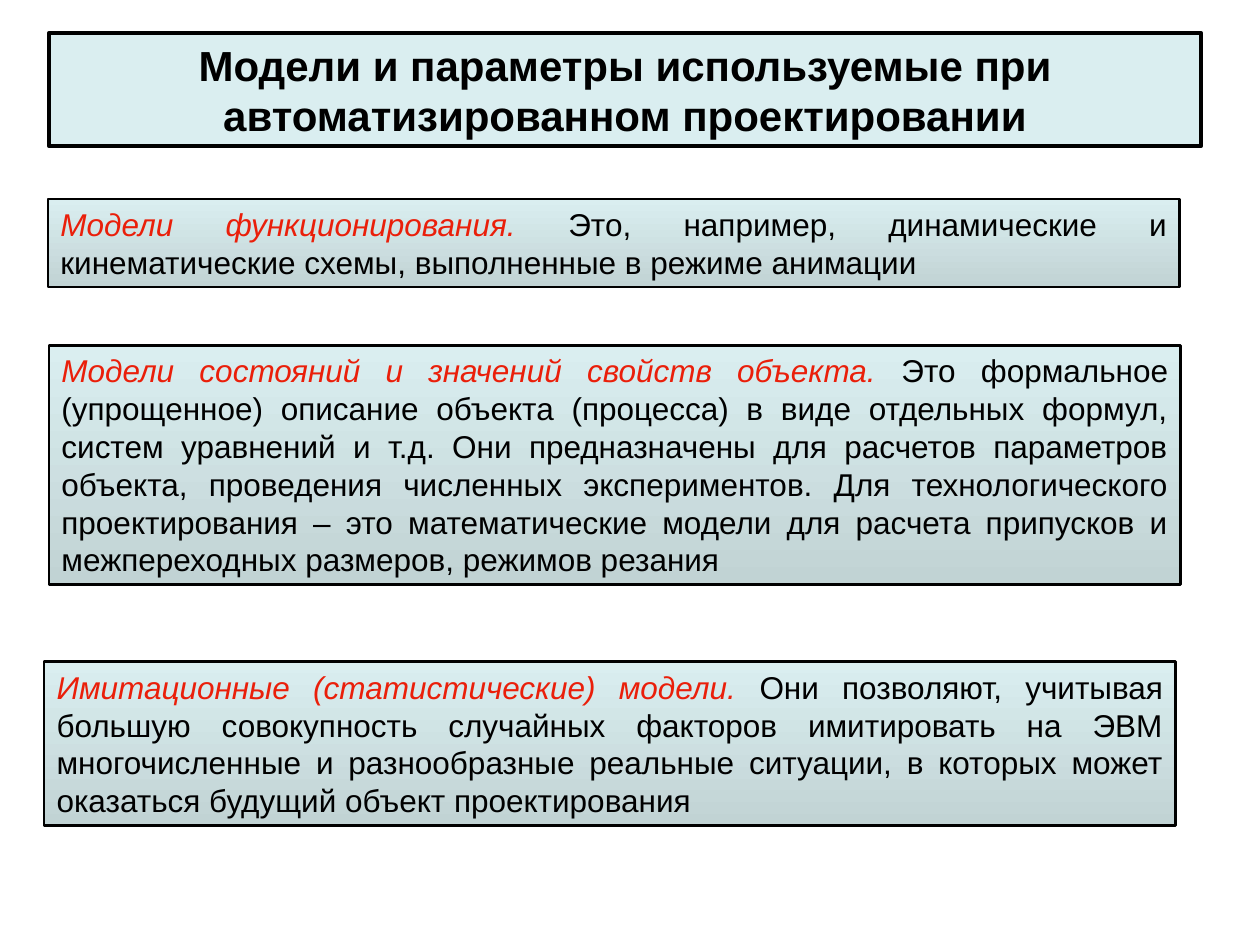
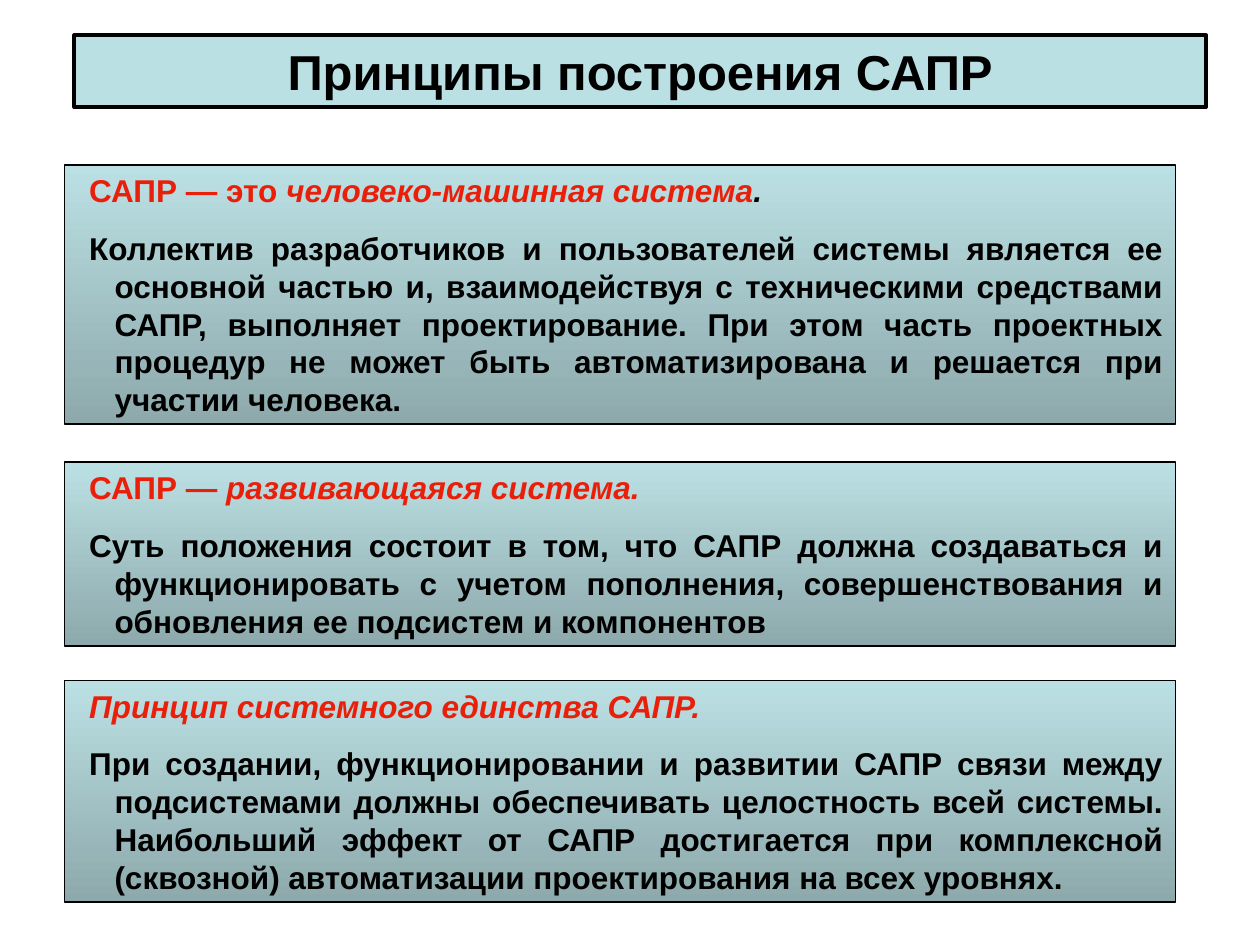
from pptx import Presentation
from pptx.dml.color import RGBColor
from pptx.enum.shapes import MSO_SHAPE
from pptx.enum.text import MSO_ANCHOR, MSO_AUTO_SIZE, PP_ALIGN
from pptx.util import Cm, Pt

FONT = "Arial"
BLACK, RED = "000000", "EA1F0A"
TEXT_SIZE = 18
LINE_HEIGHT, PADDING, HEADING_GAP = 0.762, 0.254, 0.4  # cm
HANGING_LEFT, HANGING_FIRST = 0.76, -0.51  # cm

# Spans are (text, colour, italic); a card is left, top, line count, paragraphs.
MODELS = {
    "title": "Модели и параметры используемые при автоматизированном проектировании",
    "title_box": (0.99, 0.66, 23.22, 2.29),
    "title_size": 24,
    "title_fill": "DAEEF0",
    "gradient": ("DAEEF0", "C1D3D4"),
    "card_width": 22.81,
    "card_line": 1.5,
    "bold": False,
    "hanging": False,
    "cards": [
        (0.97, 4.01, 2, [[
            ("Модели функционирования. ", RED, True),
            ("Это, например, динамические и кинематические схемы, "
             "выполненные в режиме анимации", BLACK, False)]]),
        (0.99, 6.96, 6, [[
            ("Модели состояний и значений свойств объекта. ", RED, True),
            ("Это формальное (упрощенное) описание объекта (процесса) в виде "
             "отдельных формул, систем уравнений и т.д. Они предназначены для "
             "расчетов параметров объекта, проведения численных экспериментов. "
             "Для технологического проектирования – это математические модели "
             "для расчета припусков и межпереходных размеров, режимов резания",
             BLACK, False)]]),
        (0.89, 13.34, 4, [[
            ("Имитационные (статистические) модели. ", RED, True),
            ("Они позволяют, учитывая большую совокупность случайных факторов "
             "имитировать на ЭВМ многочисленные и разнообразные реальные "
             "ситуации, в которых может оказаться будущий объект проектирования",
             BLACK, False)]]),
    ],
}

PRINCIPLES = {
    "title": "Принципы построения САПР",
    "title_box": (1.5, 0.71, 22.81, 1.45),
    "title_size": 28,
    "title_fill": "BBE0E3",
    "gradient": ("BBE0E3", "8DA9AC"),
    "card_width": 22.4,
    "card_line": 1,
    "bold": True,
    "hanging": True,
    "cards": [
        (1.3, 3.33, 6, [
            [("САПР — это ", RED, False),
             ("человеко-машинная система", RED, True),
             (".", BLACK, True)],
            [("Коллектив разработчиков и пользователей системы является ее "
              "основной частью и, взаимодействуя с техническими средствами САПР, "
              "выполняет проектирование. При этом часть проектных процедур не "
              "может быть автоматизирована и решается при участии человека.",
              BLACK, False)]]),
        (1.3, 9.32, 4, [
            [("САПР — ", RED, False), ("развивающаяся система.", RED, True)],
            [("Суть положения состоит в том, что САПР должна создаваться и "
              "функционировать с учетом пополнения, совершенствования и "
              "обновления ее подсистем и компонентов", BLACK, False)]]),
        (1.3, 13.72, 5, [
            [("Принцип системного единства САПР.", RED, True)],
            [("При создании, функционировании и развитии САПР связи между "
              "подсистемами должны обеспечивать целостность всей системы. "
              "Наибольший эффект от САПР достигается при комплексной (сквозной) "
              "автоматизации проектирования на всех уровнях.", BLACK, False)]]),
    ],
}


def rgb(value):
    return RGBColor.from_string(value)


def set_border(box, width):
    box.line.color.rgb = rgb(BLACK)
    box.line.width = Pt(width)


def set_frame(box, anchor):
    """Give a box the insets and wrapping that titles and cards share."""
    frame = box.text_frame
    frame.word_wrap = True
    frame.auto_size = MSO_AUTO_SIZE.NONE
    frame.vertical_anchor = anchor
    frame.margin_left = frame.margin_right = Cm(PADDING)
    frame.margin_top = frame.margin_bottom = Cm(PADDING / 2)
    return frame


def set_font(paragraph, size, bold):
    paragraph.font.name = FONT
    paragraph.font.size = Pt(size)
    paragraph.font.bold = bold


def add_title(page, content):
    box = page.shapes.title
    box.left, box.top, box.width, box.height = map(Cm, content["title_box"])
    box.fill.solid()
    box.fill.fore_color.rgb = rgb(content["title_fill"])
    set_border(box, 2.25)
    frame = set_frame(box, MSO_ANCHOR.MIDDLE)
    frame.text = content["title"]
    paragraph = frame.paragraphs[0]
    paragraph.alignment = PP_ALIGN.CENTER
    set_font(paragraph, content["title_size"], True)
    paragraph.font.color.rgb = rgb(BLACK)


def fill_paragraph(paragraph, spans, content):
    paragraph.alignment = PP_ALIGN.JUSTIFY
    set_font(paragraph, TEXT_SIZE, content["bold"])
    if content["hanging"]:
        properties = paragraph._p.get_or_add_pPr()
        properties.set("marL", str(Cm(HANGING_LEFT)))
        properties.set("indent", str(Cm(HANGING_FIRST)))
    for text, colour, italic in spans:
        span = paragraph.add_run()
        span.text = text
        span.font.color.rgb = rgb(colour)
        span.font.italic = italic


def add_card(page, content, left, top, line_count, paragraphs):
    """Draw a gradient card whose height follows from its lines of text."""
    gaps = len(paragraphs) - 1
    height = line_count * LINE_HEIGHT + PADDING + gaps * HEADING_GAP
    box = page.shapes.add_shape(MSO_SHAPE.RECTANGLE, Cm(left), Cm(top),
                                Cm(content["card_width"]), Cm(height))
    box.shadow.inherit = False
    box.fill.gradient()
    box.fill.gradient_angle = 270
    for stop, colour in zip(box.fill.gradient_stops, content["gradient"]):
        stop.color.rgb = rgb(colour)
    set_border(box, content["card_line"])
    frame = set_frame(box, MSO_ANCHOR.TOP)
    for index, spans in enumerate(paragraphs):
        paragraph = frame.add_paragraph() if index else frame.paragraphs[0]
        fill_paragraph(paragraph, spans, content)
        if index < gaps:
            paragraph.space_after = Cm(HEADING_GAP)


def main():
    deck = Presentation()
    deck.slide_width, deck.slide_height = Cm(25.4), Cm(19.05)
    title_only = deck.slide_layouts.get_by_name("Title Only")
    for content in (MODELS, PRINCIPLES):
        page = deck.slides.add_slide(title_only)
        add_title(page, content)
        for card in content["cards"]:
            add_card(page, content, *card)
    deck.save("out.pptx")


if __name__ == "__main__":
    main()
